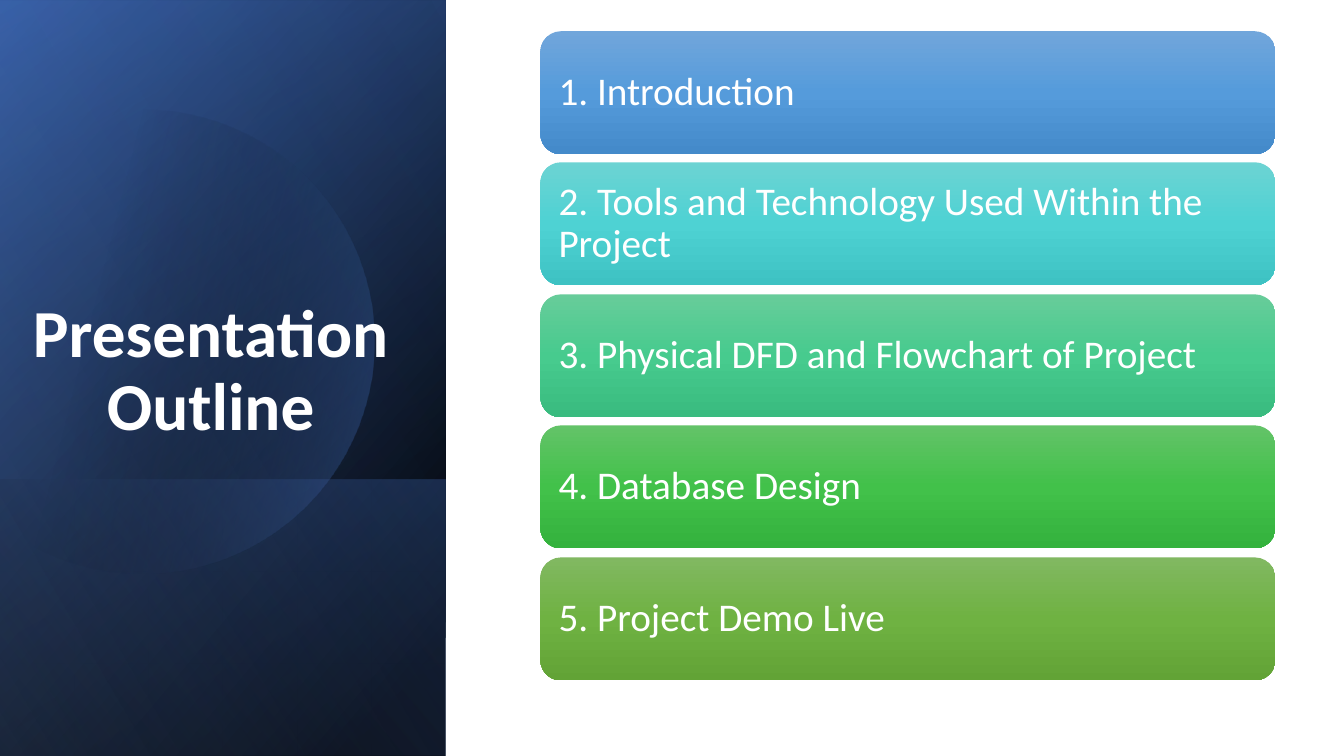
"""Build the outline slide: a shaded title panel beside five topic cards."""
import math

import lxml.etree
import pptx
import pptx.dml.color
import pptx.enum.shapes
import pptx.enum.text
import pptx.oxml.ns
import pptx.util

PX = 9144
FONT = "Calibri"
WHITE = "FFFFFF"
SHAPE = pptx.enum.shapes.MSO_SHAPE
ALIGN = pptx.enum.text.PP_ALIGN
ANCHOR = pptx.enum.text.MSO_ANCHOR

PANELS = [
    ((-154, 154, 750, 442), 50, [(8, "000000", 100), (100, "2F5597", 100)]),
    ((-154, 155, 750, 442), 30, [(0, "000000", 0), (99, "4472C4", 46)]),
    ((84, 392, 274, 442), 130, [(2, "4472C4", 29), (100, "000000", 30)]),
]
SHEEN = ((-154, 154, 750, 442), 120, [(0, "000000", 0), (99, "8FAADC", 11)])
CARDS = [
    ("1. Introduction", ("71A6DB", "559BDB", "448ACA")),
    ("2. Tools and Technology Used Within the Project", ("6CD3D3", "4ED2D3", "3EC2C3")),
    ("3. Physical DFD and Flowchart of Project", ("67CC9A", "47CB8E", "39BB7F")),
    ("4. Database Design", ("63C368", "42C14A", "34B23D")),
    ("5. Project Demo Live", ("81B861", "6FB242", "62A336")),
]


def emu(box):
    """Turn px lengths into EMU."""
    return [pptx.util.Emu(n * PX) for n in box]


def color(code):
    """Turn a hex string into a colour."""
    return pptx.dml.color.RGBColor.from_string(code)


def shade(shape, angle, stops):
    """Fill a shape with a linear gradient of (place, colour, opacity) stops."""
    qn = pptx.oxml.ns.qn
    shape.shadow.inherit = False
    shape.line.fill.background()
    shape.fill.gradient()
    grad = shape._element.spPr.find(qn("a:gradFill"))
    grad.find(qn("a:lin")).set("ang", str(angle * 60000))
    ramp = grad.find(qn("a:gsLst"))
    for old in list(ramp):
        ramp.remove(old)
    for place, code, alpha in stops:
        stop = lxml.etree.SubElement(ramp, qn("a:gs"), pos=str(place * 1000))
        tint = lxml.etree.SubElement(stop, qn("a:srgbClr"), val=code)
        if alpha < 100:
            lxml.etree.SubElement(tint, qn("a:alpha"), val=str(alpha * 1000))


def write(shape, text, size, bold=False, align=ALIGN.LEFT, anchor=ANCHOR.MIDDLE, inset=(10, 5)):
    """Set the text of a shape and its format."""
    frame = shape.text_frame
    frame.word_wrap = True
    frame.vertical_anchor = anchor
    frame.margin_left = frame.margin_right = inset[0] * PX
    frame.margin_top = frame.margin_bottom = inset[1] * PX
    para = frame.paragraphs[0]
    para.text = text
    para.alignment = align
    para.line_spacing = 0.9
    para.font.name = FONT
    para.font.size = pptx.util.Pt(size)
    para.font.bold = bold
    para.font.color.rgb = color(WHITE)


def panel(shapes, box, angle, stops):
    """Add a mirrored rectangle on its side."""
    rect = shapes.add_shape(SHAPE.RECTANGLE, *emu(box))
    rect.rotation = 90
    rect._element.spPr.xfrm.set("flipH", "1")
    shade(rect, angle, stops)


def disc(shapes, mid_x, mid_y, radius, sweep):
    """Add a disc cut straight on its left side."""
    turns = [math.radians(deg) for deg in range(-sweep, sweep + 1, 2)]
    points = [
        (round((mid_x + radius * math.cos(t)) * PX), round((mid_y + radius * math.sin(t)) * PX))
        for t in turns
    ]
    path = shapes.build_freeform(*points[0])
    path.add_line_segments(points[1:], close=True)
    shade(path.convert_to_shape(), 14, [(29, "000000", 0), (100, "4472C4", 43)])


def card(shapes, top, text, codes):
    """Add a rounded card with its topic."""
    box = shapes.add_shape(SHAPE.ROUNDED_RECTANGLE, *emu((536, top, 729, 122)))
    shade(box, 90, [(50 * i, code, 100) for i, code in enumerate(codes)])
    write(box, text, 28, inset=(12, 12))


def main():
    """Build and save the slide."""
    deck = pptx.Presentation()
    deck.slide_width, deck.slide_height = emu((1333, 750))
    shapes = deck.slides.add_slide(deck.slide_layouts[6]).shapes
    for spec_row in PANELS:
        panel(shapes, *spec_row)
    disc(shapes, 141, 339, 230, 128)
    panel(shapes, *SHEEN)
    title = shapes.add_textbox(*emu((13, 184, 392, 262)))
    write(title, "Presentation\vOutline", 48, bold=True, align=ALIGN.CENTER, anchor=ANCHOR.BOTTOM)
    for i, (text, codes) in enumerate(CARDS):
        card(shapes, 31 + 261 * i // 2, text, codes)
    deck.save("out.pptx")


if __name__ == "__main__":
    main()
